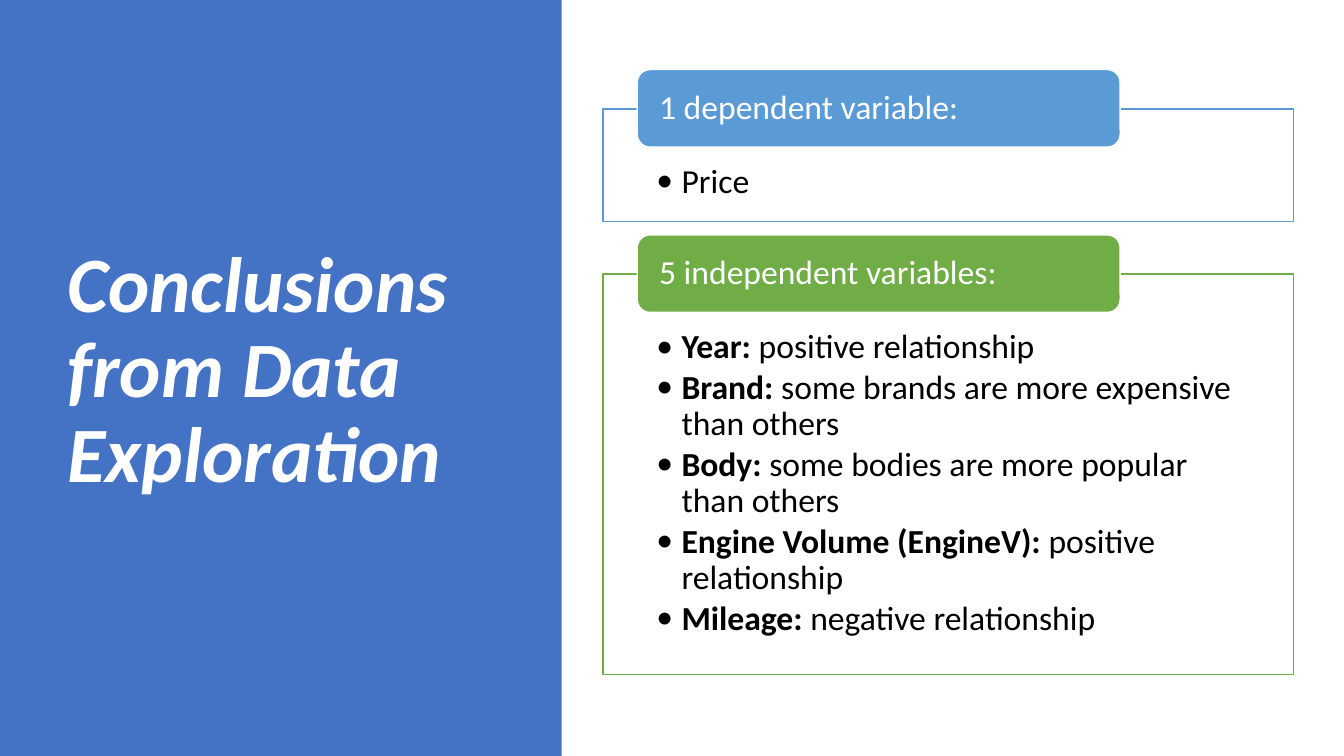
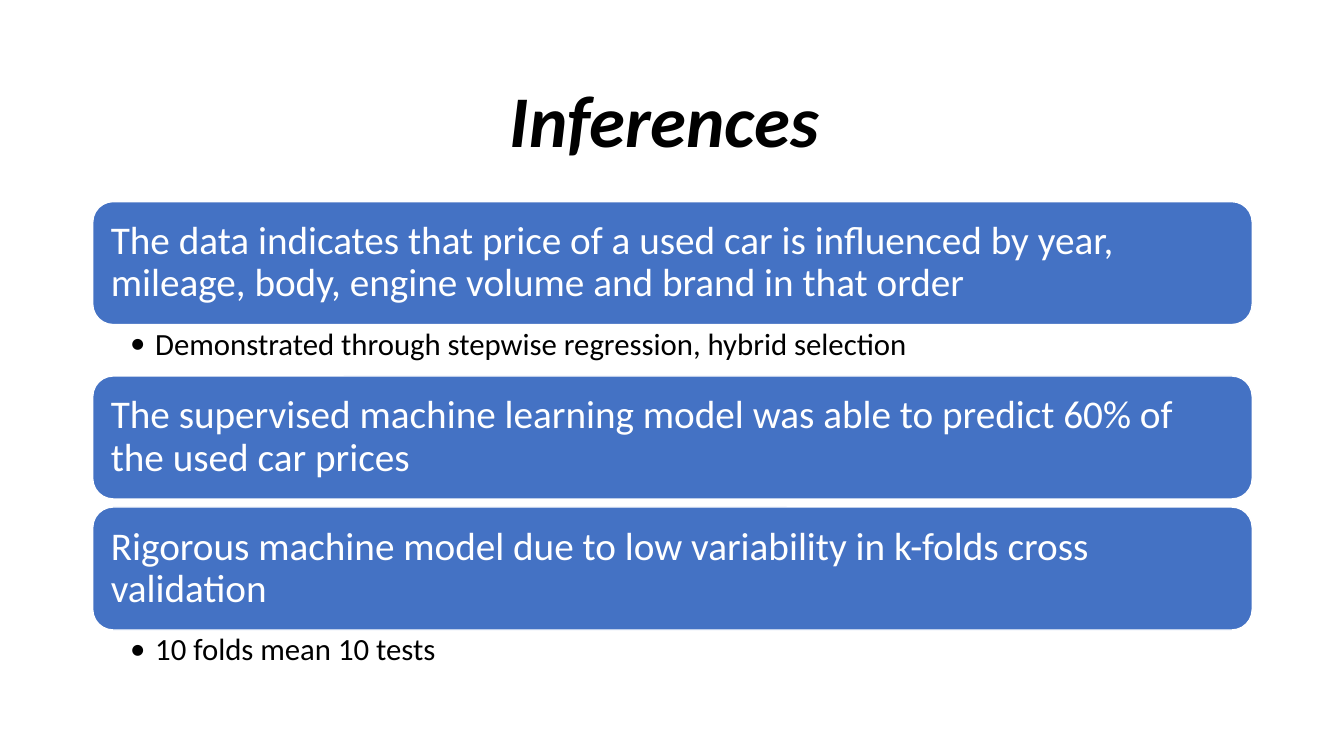
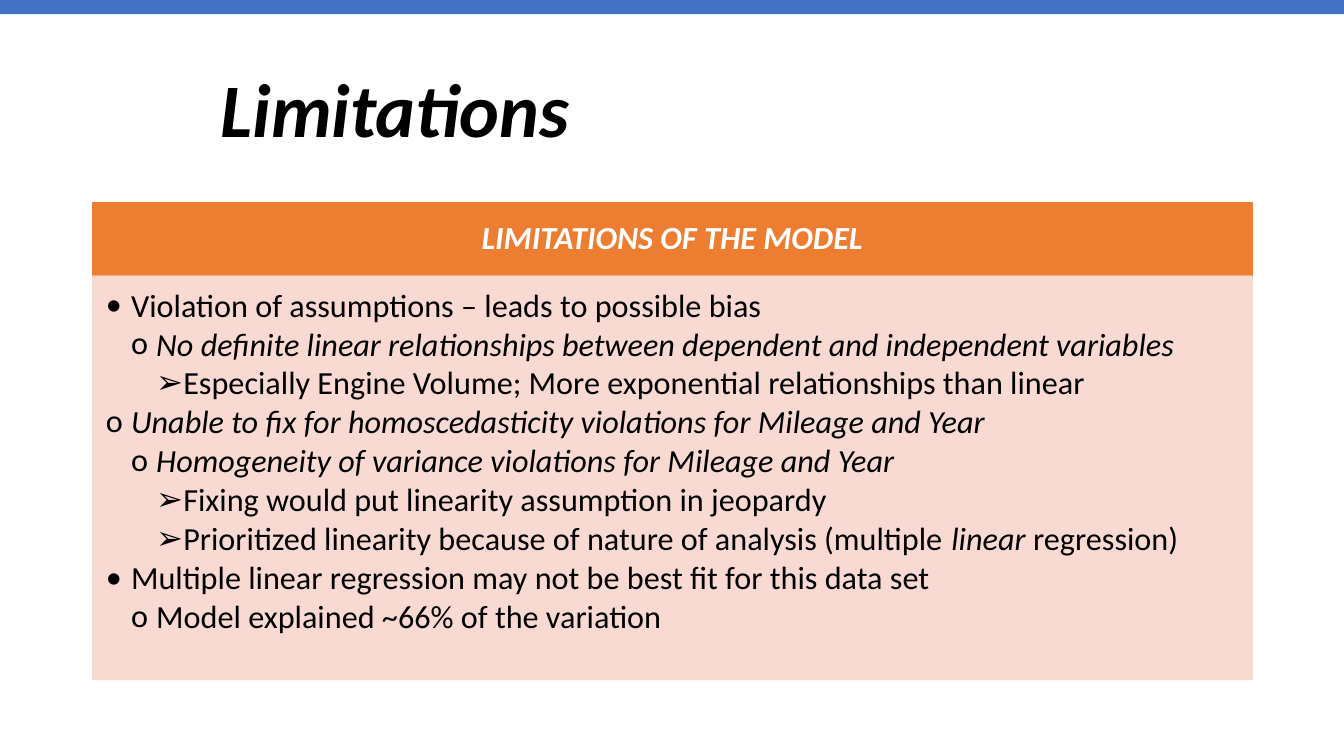
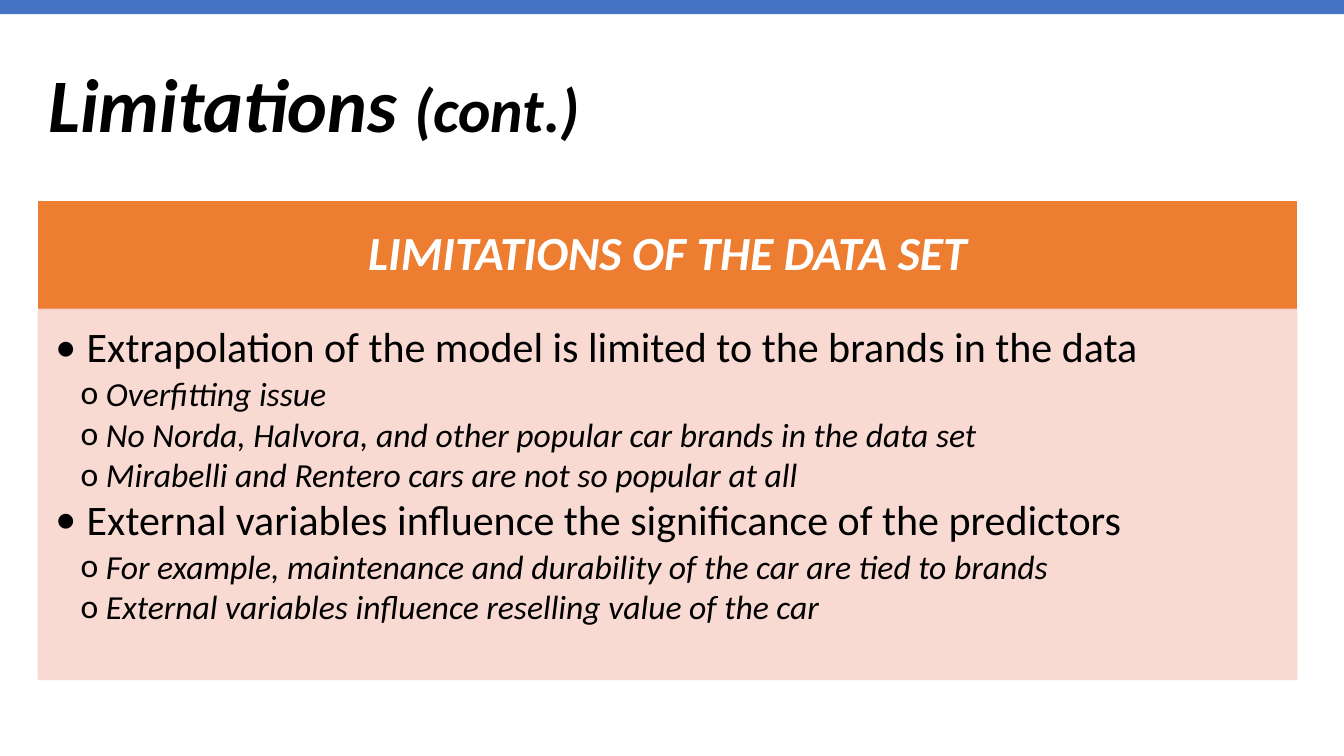
from dataclasses import dataclass

from lxml import etree
from pptx import Presentation
from pptx import util as u
from pptx.dml.color import RGBColor
from pptx.enum import shapes, text
from pptx.oxml.ns import qn

PX = 9144  # EMU per px, 100 px to the inch
RECT = shapes.MSO_SHAPE.RECTANGLE
ROUND = shapes.MSO_SHAPE.ROUNDED_RECTANGLE
TOP, MIDDLE = text.MSO_ANCHOR.TOP, text.MSO_ANCHOR.MIDDLE
LEFT, CENTER = text.PP_ALIGN.LEFT, text.PP_ALIGN.CENTER


@dataclass(frozen=True)
class Theme:
    font: str = "Calibri"
    ink: str = "000000"
    white: str = "FFFFFF"
    blue: str = "4472C4"
    sky: str = "5B9BD5"
    green: str = "70AD47"
    orange: str = "ED7D31"
    blush: str = "F8D7CE"
    title_large: int = 56
    title: int = 54
    title_small: int = 52
    title_note: int = 44
    bar: int = 28
    body: int = 24
    note: int = 22


T = Theme()


def add_box(s, at, fill=None, line=None, kind=RECT, inset=(0, 0, 0, 0), anchor=MIDDLE):
    """Add a filled shape, or a plain text box when there is no fill."""
    at = [v * PX for v in at]
    if fill:
        sp = s.shapes.add_shape(kind, *at)
        sp.shadow.inherit = False
        sp.fill.solid()
        sp.fill.fore_color.rgb = RGBColor.from_string(fill)
        if line:
            sp.line.color.rgb = RGBColor.from_string(line)
            sp.line.width = u.Pt(1)
        else:
            sp.line.fill.background()
    else:
        sp = s.shapes.add_textbox(*at)
    tf = sp.text_frame
    tf.word_wrap = True
    tf.vertical_anchor = anchor
    tf.margin_left, tf.margin_top, tf.margin_right, tf.margin_bottom = [v * PX for v in inset]
    return sp


def add_par(tf, runs, size, color=T.ink, align=LEFT, bullet=None, indent=25, hang=25, after=0.13):
    """Add a paragraph; each run is (text, style letters b and i[, size])."""
    p = tf.paragraphs[0]
    if p.runs:
        p = tf.add_paragraph()
    p.alignment = align
    p.line_spacing = 0.9
    p.space_before = u.Pt(0)
    p.space_after = u.Pt(size * after)
    if bullet:
        pPr = p._p.get_or_add_pPr()
        pPr.set("marL", str(indent * PX))
        pPr.set("indent", str(-hang * PX))
        etree.SubElement(pPr, qn("a:buFont")).set("typeface", T.font)
        etree.SubElement(pPr, qn("a:buChar")).set("char", bullet)
    for words, style, *own_size in runs:
        r = p.add_run()
        r.text = words
        r.font.name = T.font
        r.font.size = u.Pt(own_size[0] if own_size else size)
        r.font.bold = "b" in style
        r.font.italic = "i" in style
        r.font.color.rgb = RGBColor.from_string(color)


prs = Presentation()
prs.slide_width, prs.slide_height = 1333 * PX, 750 * PX

# Slides with their titles and blue bands
titles = [
    ((57, 68, 416, 602), LEFT, T.white, T.title_large,
     [("Conclusions from Data Exploration", "bi")], (0, 0, 557, 750)),
    ((92, 61, 1150, 124), CENTER, T.ink, T.title_small, [("Inferences ", "bi")], None),
    ((209, 40, 1032, 145), LEFT, T.ink, T.title, [("Limitations", "bi")], (0, 0, 1333, 14)),
    ((38, 35, 1248, 145), LEFT, T.ink, T.title,
     [("Limitations ", "bi"), ("(cont.)", "bi", T.title_note)], (0, 0, 1333, 14)),
]
slides = []
for at, align, color, size, runs, band in titles:
    s = prs.slides.add_slide(prs.slide_layouts[5])
    title = s.shapes.title
    title.left, title.top, title.width, title.height = [v * PX for v in at]
    tf = title.text_frame
    tf.word_wrap = True
    tf.auto_size = text.MSO_AUTO_SIZE.NONE
    tf.vertical_anchor = MIDDLE
    add_par(tf, runs, size, color, align, after=0)
    if band:
        title._element.addprevious(add_box(s, band, T.blue)._element)
    slides.append(s)
conclusions, inferences, model_limits, data_limits = slides

# Conclusions: outlined panels, each with a tab over its top edge
panels = [
    ("1 dependent variable:", T.sky, 112, [[("Price", "")]]),
    ("5 independent variables:", T.green, 397, [
        [("Year:", "b"), (" positive relationship", "")],
        [("Brand:", "b"), (" some brands are more expensive than others", "")],
        [("Body: ", "b"), ("some bodies are more popular than others", "")],
        [("Engine Volume (EngineV): ", "b"), ("positive relationship", "")],
        [("Mileage: ", "b"), ("negative relationship", "")],
    ]),
]
y = 108
for heading, color, height, items in panels:
    panel = add_box(conclusions, (598, y, 685, height), T.white, color,
                    inset=(53, 55, 53, 19), anchor=TOP)
    for runs in items:
        add_par(panel.text_frame, runs, T.body, bullet="•")
    tab = add_box(conclusions, (632, y - 39, 479, 77), color, T.white, ROUND, (18, 0, 18, 0))
    add_par(tab.text_frame, [(heading, "")], T.body, T.white, after=0)
    y += height + 52

# Inferences: stacked bars, some with a note below
bars = [
    ("The data indicates that price of a used car is influenced by year, mileage, body, "
     "engine volume and brand in that order",
     "Demonstrated through stepwise regression, hybrid selection"),
    ("The supervised machine learning model was able to predict 60% of the used car prices", None),
    ("Rigorous machine model due to low variability in k-folds cross validation",
     "10 folds mean 10 tests"),
]
y = 200
for statement, note in bars:
    bar = add_box(inferences, (92, y, 1150, 122), T.blue, T.white, ROUND, (12, 12, 12, 12))
    add_par(bar.text_frame, [(statement, "")], T.bar, T.white, after=0)
    y += 122
    if note:
        sp = add_box(inferences, (92, y, 1150, 51), inset=(37, 4, 22, 4), anchor=TOP)
        add_par(sp.text_frame, [(note, "")], T.note, bullet="•")
    y += 51 if note else 8

# Limitations: header over a tinted outline; items are (level, bullet, runs)
outlines = [
    (model_limits, "LIMITATIONS OF THE MODEL", 23, (92, 201, 1150, 73), 400,
     (18, 10, 18, 10), (13, 13, 18, 20), {1: (23, 25, 25), 2: (23, 50, 25), 3: (23, 75, 25)}, [
         (1, "•", [("Violation of assumptions – leads to possible bias", "")]),
         (2, "o", [("No definite linear relationships between dependent and independent variables", "i")]),
         (3, "➢", [("Especially Engine Volume; More exponential relationships than linear", "")]),
         (1, "o", [("Unable to fix for homoscedasticity violations for Mileage and Year", "i")]),
         (2, "o", [("Homogeneity of variance violations for Mileage and Year", "i")]),
         (3, "➢", [("Fixing would put linearity assumption in jeopardy", "")]),
         (3, "➢", [("Prioritized linearity because of nature of analysis (multiple ", ""),
                   ("linear", "i"), (" regression)", "")]),
         (1, "•", [("Multiple linear regression may not be best fit for this data set", "")]),
         (2, "o", [("Model explained ~66% of the variation", "")]),
     ]),
    (data_limits, "LIMITATIONS OF THE DATA SET", 34, (38, 200, 1248, 107), 367,
     (26, 15, 26, 15), (17, 17, 23, 26), {1: (30, 31, 31), 2: (24, 50, 25)}, [
         (1, "•", [("Extrapolation of the model is limited to the brands in the data", "")]),
         (2, "o", [("Overfitting issue", "i")]),
         (2, "o", [("No Norda, Halvora, and other popular car brands in the data set", "i")]),
         (2, "o", [("Mirabelli and Rentero cars are not so popular at all", "i")]),
         (1, "•", [("External variables influence the significance of the predictors", "")]),
         (2, "o", [("For example, maintenance and durability of the car are tied to brands", "i")]),
         (2, "o", [("External variables influence reselling value of the car", "i")]),
     ]),
]
for s, heading, size, at, body_height, head_inset, body_inset, levels, items in outlines:
    head = add_box(s, at, T.orange, T.orange, inset=head_inset)
    add_par(head.text_frame, [(heading, "bi")], size, T.white, CENTER, after=0)
    x, y, width, height = at
    body = add_box(s, (x, y + height, width, body_height), T.blush, T.blush,
                   inset=body_inset, anchor=TOP)
    for clr in body._element.spPr.iter(qn("a:srgbClr")):
        etree.SubElement(clr, qn("a:alpha")).set("val", "90000")
    for level, bullet, runs in items:
        size, indent, hang = levels[level]
        add_par(body.text_frame, runs, size, bullet=bullet, indent=indent, hang=hang)

prs.save("out.pptx")
